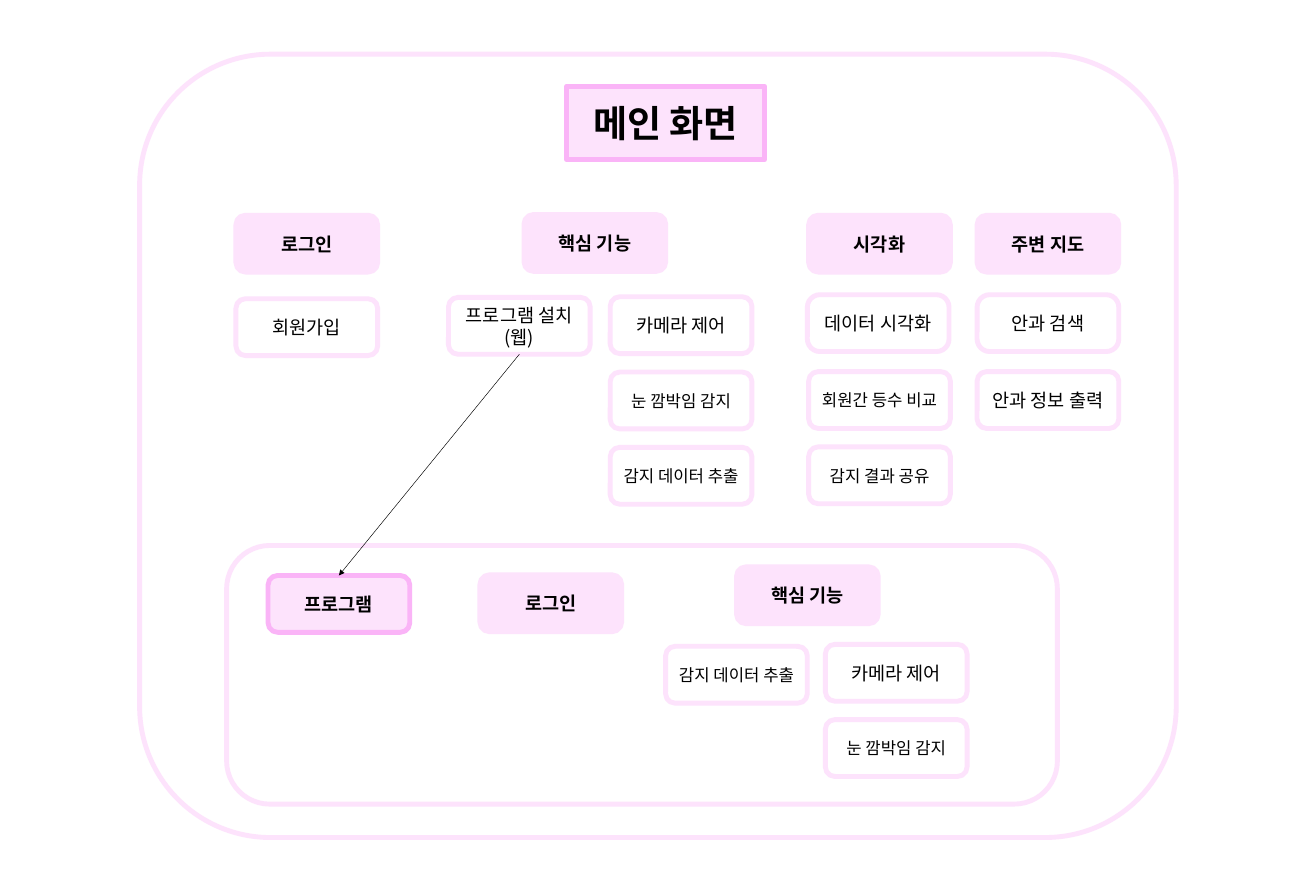
"""Build the site map of the main screen and its installed program."""
import dataclasses
import typing

import lxml.etree
import pptx
import pptx.dml.color
import pptx.enum.shapes
import pptx.enum.text
import pptx.oxml.ns
import pptx.util

Color = pptx.dml.color.RGBColor
ROUNDED = pptx.enum.shapes.MSO_SHAPE.ROUNDED_RECTANGLE
TILE_WIDTH, TILE_HEIGHT, ROW_STEP = 10.77, 6.38, 8.45


@dataclasses.dataclass(frozen=True)
class Theme:
    font: str = "Noto Sans CJK KR"
    ink: Color = Color(0x00, 0x00, 0x00)
    pale: Color = Color(0xFD, 0xE3, 0xFC)
    strong: Color = Color(0xFA, 0xB4, 0xF7)
    title: float = 40
    normal: float = 20
    small: float = 18
    border: float = 5.25
    arrow: float = 0.5


THEME = Theme()


@dataclasses.dataclass(frozen=True)
class Label:
    text: str
    size: float = THEME.normal
    bold: bool = False


@dataclasses.dataclass(frozen=True)
class Box:
    """Position and size are percent shares of the slide."""
    left: float
    top: float
    width: float = TILE_WIDTH
    height: float = TILE_HEIGHT
    label: typing.Optional[Label] = None
    filled: bool = False
    edge: Color = THEME.pale
    corner: float = 0.167


@dataclasses.dataclass(frozen=True)
class Stack:
    left: float
    top: float
    labels: tuple[Label, ...]
    corner: float = 0.167

    def boxes(self) -> list[Box]:
        return [Box(self.left, self.top + row * ROW_STEP, label=label, corner=self.corner)
                for row, label in enumerate(self.labels)]


def heading(left: float, top: float, text: str, edge: Color = THEME.pale) -> Box:
    return Box(left, top, label=Label(text, bold=True), filled=True, edge=edge)


CAMERA = Label("카메라 제어")
BLINK = Label("눈 깜박임 감지", THEME.small)
EXTRACT = Label("감지 데이터 추출", THEME.small)

TITLE = Box(43.07, 9.68, 15.03, 8.25, Label("메인 화면", THEME.title, True), True, THEME.strong)
FRAMES = [Box(10.61, 6.08, 78.77, 87.92), Box(17.22, 61.22, 63.13, 29.03)]
HEADINGS = [
    heading(17.93, 24.16, "로그인"),
    heading(39.82, 24.08, "핵심 기능"),
    heading(61.45, 24.16, "시각화"),
    heading(74.25, 24.16, "주변 지도"),
    heading(36.47, 64.52, "로그인"),
    heading(55.97, 63.62, "핵심 기능"),
]
STACKS = [
    Stack(17.93, 33.53, (Label("회원가입"),)),
    Stack(46.37, 33.31, (CAMERA, BLINK, EXTRACT)),
    Stack(61.35, 33.08, (Label("데이터 시각화"),), 0.222),
    Stack(61.45, 41.71, (Label("회원간 등수 비교", THEME.small),
                         Label("감지 결과 공유", THEME.small))),
    Stack(74.25, 33.08, (Label("안과 검색"),), 0.222),
    Stack(74.25, 41.71, (Label("안과 정보 출력"),)),
    Stack(50.58, 72.54, (EXTRACT,)),
    Stack(62.72, 72.32, (CAMERA, BLINK)),
]
INSTALL = Box(34.08, 33.38, label=Label("프로그램 설치(웹)"))
PROGRAM = heading(20.37, 64.59, "프로그램", THEME.strong)


def assign(target: typing.Any, values: dict[str, typing.Any]) -> None:
    for name, value in values.items():
        setattr(target, name, value)


def write_label(shape: typing.Any, label: Label) -> None:
    frame = shape.text_frame
    assign(frame, {"word_wrap": True, "auto_size": pptx.enum.text.MSO_AUTO_SIZE.NONE,
                   "vertical_anchor": pptx.enum.text.MSO_ANCHOR.MIDDLE})
    para = frame.paragraphs[0]
    para.alignment = pptx.enum.text.PP_ALIGN.CENTER
    span = para.add_run()
    span.text = label.text
    span.font.color.rgb = THEME.ink
    assign(span.font, {"size": pptx.util.Pt(label.size), "bold": label.bold, "name": THEME.font})
    properties = span.font._element
    lxml.etree.SubElement(properties, pptx.oxml.ns.qn("a:ea"), typeface=THEME.font)


def style_box(shape: typing.Any, box: Box) -> None:
    if box.filled:
        shape.fill.solid()
        shape.fill.fore_color.rgb = THEME.pale
    else:
        shape.fill.background()
    shape.line.color.rgb = box.edge
    shape.line.width = pptx.util.Pt(THEME.border)
    if box.label:
        write_label(shape, box.label)


def bounds(deck: typing.Any, box: Box) -> dict[str, int]:
    return {"left": round(deck.slide_width * box.left / 100),
            "top": round(deck.slide_height * box.top / 100),
            "width": round(deck.slide_width * box.width / 100),
            "height": round(deck.slide_height * box.height / 100)}


def draw_box(deck: typing.Any, page: typing.Any, box: Box) -> typing.Any:
    shape = page.shapes.add_shape(ROUNDED, **bounds(deck, box))
    shape.adjustments[0] = box.corner
    shape.shadow.inherit = False
    style_box(shape, box)
    return shape


def draw_title(deck: typing.Any, page: typing.Any) -> None:
    title = page.shapes.title
    assign(title, bounds(deck, TITLE))
    outline = lxml.etree.SubElement(title.element.spPr, pptx.oxml.ns.qn("a:prstGeom"),
                                    prst="roundRect")
    lxml.etree.SubElement(outline, pptx.oxml.ns.qn("a:avLst"))
    style_box(title, TITLE)


def draw_arrow(page: typing.Any, source: typing.Any, target: typing.Any) -> None:
    arrow = page.shapes.add_connector(pptx.enum.shapes.MSO_CONNECTOR.STRAIGHT, 0, 0, 0, 0)
    arrow.begin_connect(source, 2)
    arrow.end_connect(target, 0)
    arrow.line.color.rgb = THEME.ink
    arrow.line.width = pptx.util.Pt(THEME.arrow)
    lxml.etree.SubElement(arrow.line._get_or_add_ln(), pptx.oxml.ns.qn("a:tailEnd"),
                          type="triangle")
    lxml.etree.SubElement(arrow._element.spPr, pptx.oxml.ns.qn("a:effectLst"))


def main() -> None:
    deck = pptx.Presentation()
    assign(deck, {"slide_width": pptx.util.Inches(19.69),
                  "slide_height": pptx.util.Inches(13.33)})
    page = deck.slides.add_slide(deck.slide_layouts[5])
    draw_title(deck, page)
    tiles = [box for stack in STACKS for box in stack.boxes()]
    for box in FRAMES + HEADINGS + tiles:
        draw_box(deck, page, box)
    draw_arrow(page, draw_box(deck, page, INSTALL), draw_box(deck, page, PROGRAM))
    deck.save("out.pptx")


if __name__ == "__main__":
    main()
